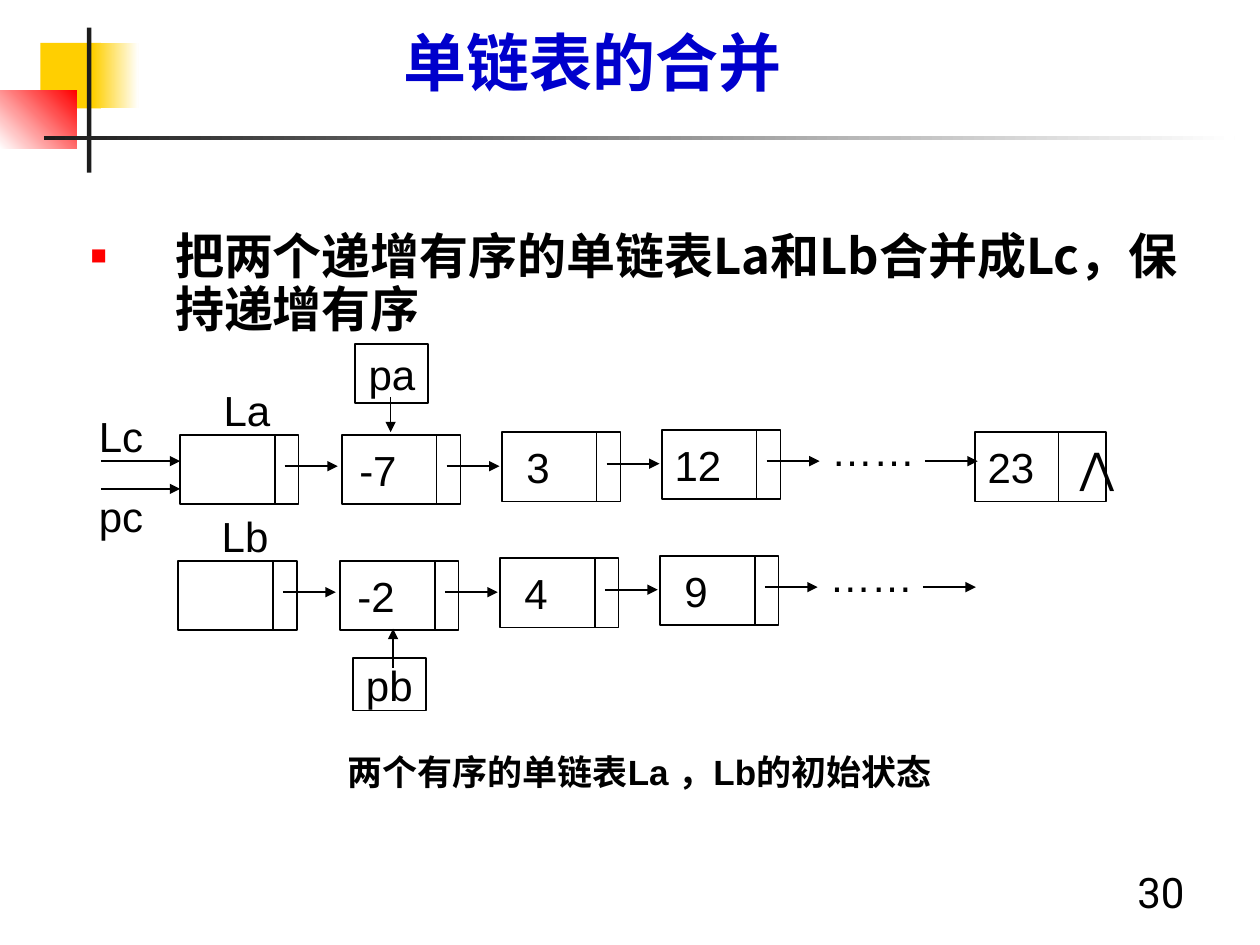
from pptx import Presentation
from pptx.dml.color import RGBColor
from pptx.enum.shapes import MSO_CONNECTOR as Link, MSO_SHAPE as Preset
from pptx.enum.text import MSO_ANCHOR as Anchor, PP_ALIGN as Align
from pptx.oxml.ns import qn
from pptx.util import Inches, Pt
from lxml.etree import SubElement

COLORS = {"black": "000000", "ink": "1C1C1C", "gold": "FFCF01",
          "red": "FF0000", "blue": "0000CC", "white": "FFFFFF"}
CELL = Inches(0.1)
COLUMNS, ROWS = 100, 75
NODE_WIDTH, NODE_HEIGHT, NODE_STEP = 9.4, 5.5, 12.7
LATIN, HAN, HEADING = "Arial", "Noto Sans CJK SC", "Roboto"


def cells(*counts):
    return [round(count * CELL) for count in counts]


def color(name):
    return RGBColor.from_string(COLORS[name])


def style(para, size, name=None, bold=False, tint="black", align=Align.CENTER):
    para.alignment = align
    font = para.font
    font.size, font.bold = Pt(size), bold
    font.color.rgb = color(tint)
    if name:
        font.name = name
        holder = para._p.pPr.find(qn("a:defRPr"))
        SubElement(holder, qn("a:ea")).set("typeface", HAN)


def add_text(page, box, text, size=24, name=LATIN, align=Align.CENTER):
    shape = page.shapes.add_textbox(*cells(*box))
    frame = shape.text_frame
    frame.word_wrap = False
    frame.vertical_anchor = Anchor.MIDDLE
    para = frame.paragraphs[0]
    para.text = text
    style(para, size, name, align=align)
    return shape


def add_cell(page, box, text=""):
    shape = page.shapes.add_shape(Preset.RECTANGLE, *cells(*box))
    shape.shadow.inherit = False
    shape.fill.background()
    shape.line.color.rgb = color("black")
    shape.line.width = Pt(1)
    frame = shape.text_frame
    frame.word_wrap = False
    frame.vertical_anchor = Anchor.MIDDLE
    if text:
        frame.text = text
        style(frame.paragraphs[0], 24, LATIN)
    return shape


def add_line(page, start, end, arrow=True):
    line = page.shapes.add_connector(Link.STRAIGHT, *cells(*start, *end))
    line.line.color.rgb = color("black")
    line.line.width = Pt(1)
    SubElement(line._element.spPr, qn("a:effectLst"))
    if arrow:
        SubElement(line.line._get_or_add_ln(), qn("a:tailEnd")).set("type", "triangle")


def add_block(page, box, first, last=None, angle=0):
    block = page.shapes.add_shape(Preset.RECTANGLE, *cells(*box))
    block.shadow.inherit = False
    block.line.fill.background()
    if last:
        block.fill.gradient()
        block.fill.gradient_angle = angle
        for stop, name in zip(block.fill.gradient_stops, (first, last)):
            stop.color.rgb = color(name)
    else:
        block.fill.solid()
        block.fill.fore_color.rgb = color(first)


def draw_ornament(page):
    add_block(page, (3.2, 3.4, 4.8, 5.2), "gold")
    add_block(page, (7.4, 3.4, 3.6, 5.2), "gold", "white")
    add_block(page, (0, 7.2, 6.1, 4.6), "white", "red", 45)
    add_block(page, (6.9, 2.2, 0.35, 11.5), "ink")
    add_block(page, (3.5, 10.8, 94.5, 0.35), "ink", "white")


def fill_title(title, box):
    title.left, title.top, title.width, title.height = cells(*box)
    title.text_frame.text = "单链表的合并"
    title.text_frame.vertical_anchor = Anchor.BOTTOM
    style(title.text_frame.paragraphs[0], 36, HEADING, True, "blue")


def fill_body(body, box):
    body.left, body.top, body.width, body.height = cells(*box)
    body.text_frame.text = "把两个递增有序的单链表La和Lb合并成Lc，保持递增有序"
    para = body.text_frame.paragraphs[0]
    para.line_spacing = 0.9
    para.space_before = Pt(0)
    layout = para._p.get_or_add_pPr()
    layout.set("marL", str(Inches(1.02)))
    layout.set("indent", str(-Inches(0.67)))
    tint = SubElement(layout, qn("a:buClr"))
    SubElement(tint, qn("a:srgbClr")).set("val", COLORS["red"])
    SubElement(layout, qn("a:buSzPct")).set("val", "55000")
    SubElement(layout, qn("a:buChar")).set("char", "■")
    style(para, 28, HAN, True, align=Align.LEFT)


def draw_node(page, left, top, value, divider=7.5):
    width = NODE_WIDTH
    node = add_cell(page, (left, top, width, NODE_HEIGHT), value)
    node.text_frame.margin_left, node.text_frame.margin_right = cells(0, 3.7)
    add_line(page, (left + divider, top), (left + divider, top + NODE_HEIGHT), False)
    add_line(page, (left + 8.3, top + 2.5), (left + 12.5, top + 2.5))


def draw_list(page, left, top, label, values):
    add_text(page, (left + 0.7, top - 4.5, 9.2, 5), label)
    for index, value in enumerate(["", *values]):
        draw_node(page, left + NODE_STEP * index + 0.15 * (index > 0),
                  top - 0.2 * max(index - 1, 0), value)
    dots = add_text(page, (left + 51.2, top - 1.6, NODE_WIDTH, NODE_HEIGHT), "……")
    dots.text_frame.margin_left, dots.text_frame.margin_right = cells(0, 1.8)
    add_line(page, (left + 59.1, top + 2.1), (left + 63.3, top + 2.1))


def draw_last_node(page, left, top):
    node = add_cell(page, (left, top, 10.4, NODE_HEIGHT))
    para = node.text_frame.paragraphs[0]
    para.text = "23\t⋀"
    stops = SubElement(para._p.get_or_add_pPr(), qn("a:tabLst"))
    stop = SubElement(stops, qn("a:tab"))
    stop.set("pos", str(Inches(0.73)))
    stop.set("algn", "l")
    style(para, 24, LATIN, align=Align.LEFT)
    add_line(page, (left + 6.6, top), (left + 6.6, top + NODE_HEIGHT), False)


def draw_pointers(page, left, top):
    add_cell(page, (left + 21.5, top, 5.8, 4.7), "pa")
    add_line(page, (left + 24.3, top + 4.2), (left + 24.3, top + 7))
    add_cell(page, (left + 21.3, top + 24.9, 5.8, 4.2), "pb")
    add_line(page, (left + 24.5, top + 25.7), (left + 24.5, top + 22.6))
    for name, text_top, line_top in (("Lc", 5.2, 9.3), ("pc", 11.5, 11.5)):
        add_text(page, (left, top + text_top, 5.8, 4.2), name)
        add_line(page, (left + 1.3, top + line_top), (left + 7.6, top + line_top))


def draw_caption(page, box):
    caption = add_text(page, box, "", 20, None)
    para = caption.text_frame.paragraphs[0]
    para.font.bold = True
    for text, name in (("两个有序的单链表", HAN), ("La ", LATIN), ("，", HAN),
                       ("Lb", LATIN), ("的初始状态", HAN)):
        span = para.add_run()
        span.text = text
        span.font.name = name
        if name == HAN:
            SubElement(span.font._element, qn("a:ea")).set("typeface", HAN)


def main():
    deck = Presentation()
    deck.slide_width, deck.slide_height = cells(COLUMNS, ROWS)
    page = deck.slides.add_slide(deck.slide_layouts[1])
    draw_ornament(page)
    fill_title(page.shapes.title, (2, 1.3, 90, 7.1))
    fill_body(page.placeholders[1], (2.7, 17.9, 92.9, 49.4))
    draw_list(page, 14.3, 34.5, "La", ("-7", "3", "12"))
    draw_last_node(page, 77.4, 34.3)
    draw_list(page, 14.15, 44.5, "Lb", ("-2", "4", "9"))
    draw_pointers(page, 6.7, 27.3)
    draw_caption(page, (20, 58.8, 61.5, 4.9))
    add_text(page, (71.7, 68.3, 23.3, 5), "30", 24, HEADING, Align.RIGHT)
    deck.save("out.pptx")


if __name__ == "__main__":
    main()
